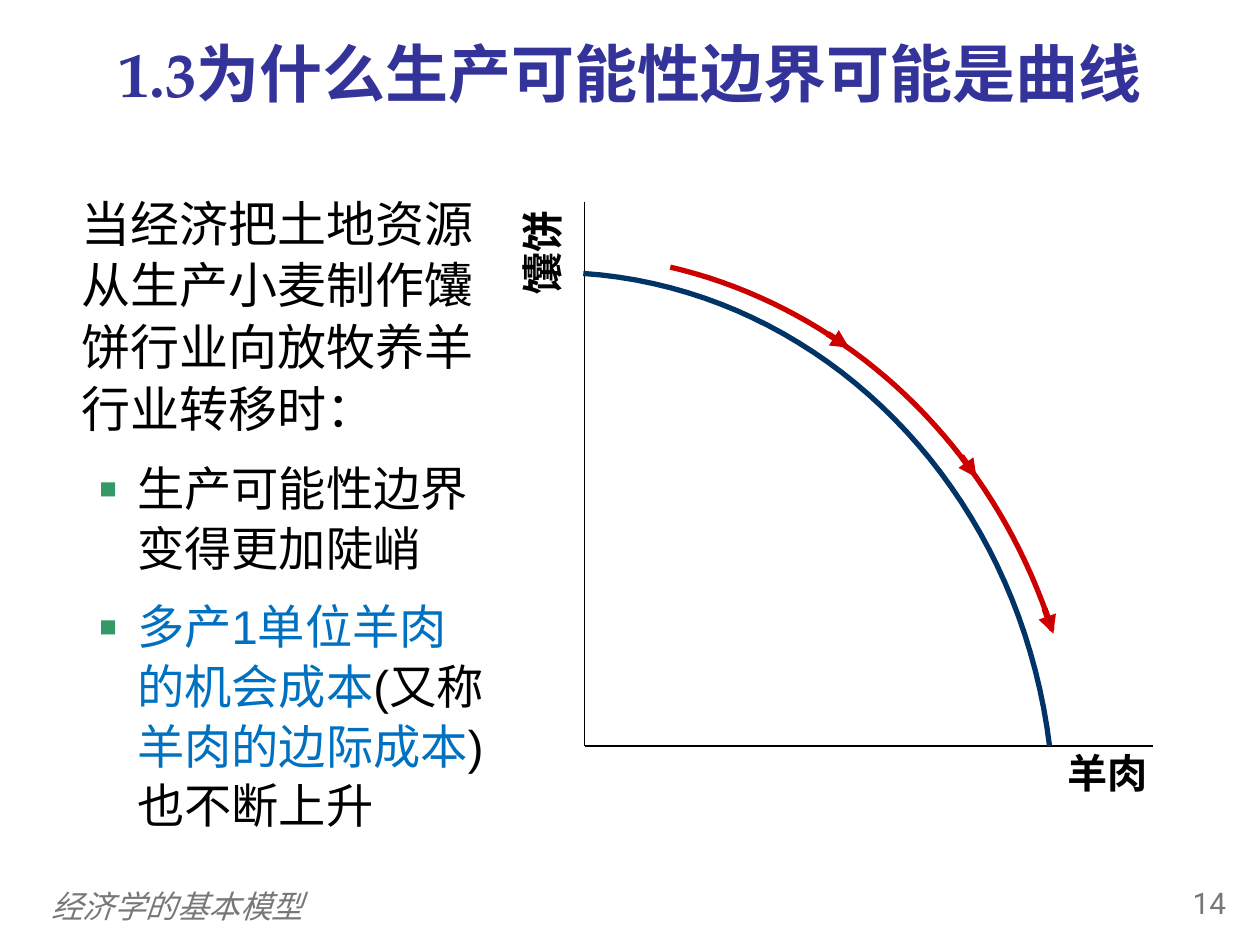
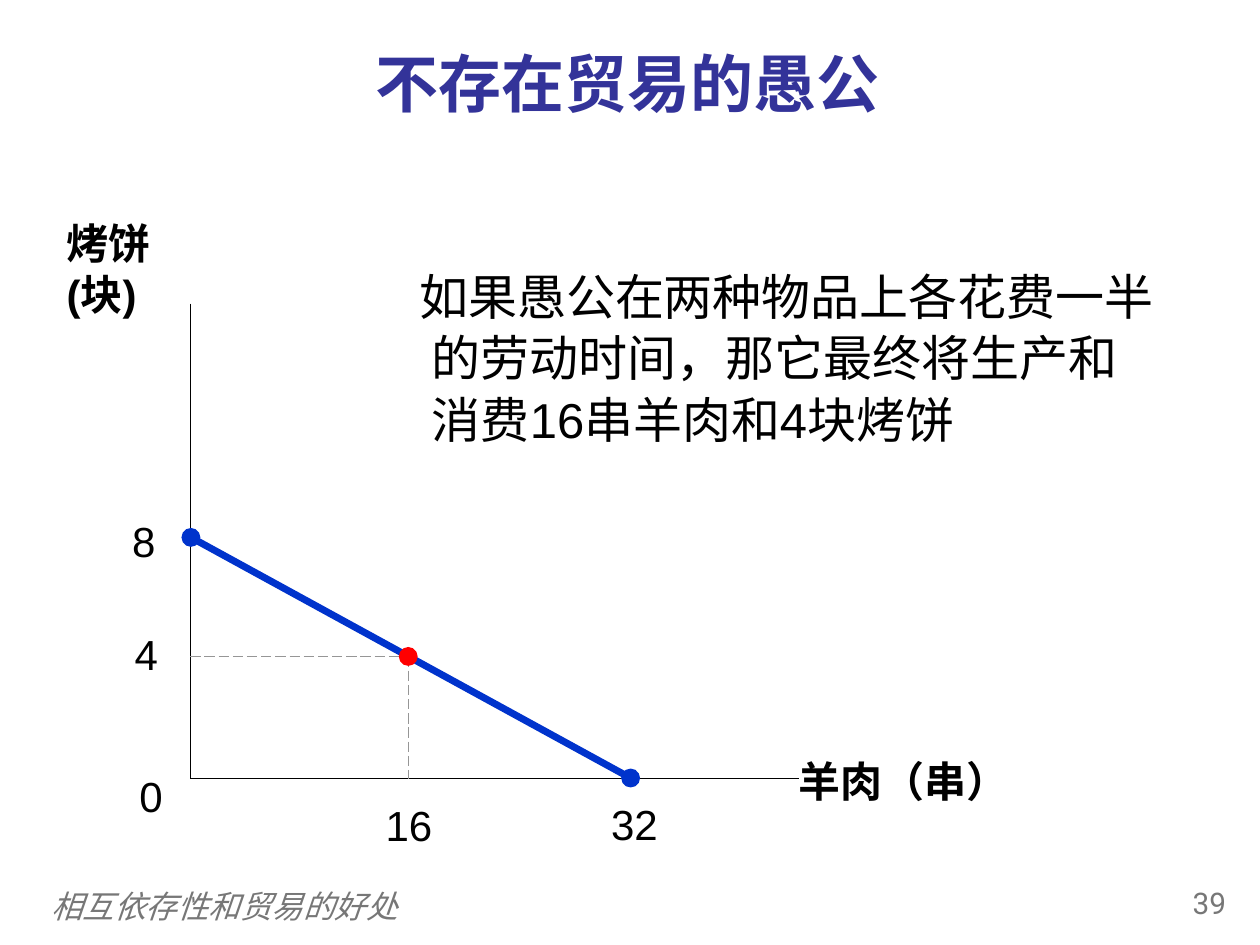
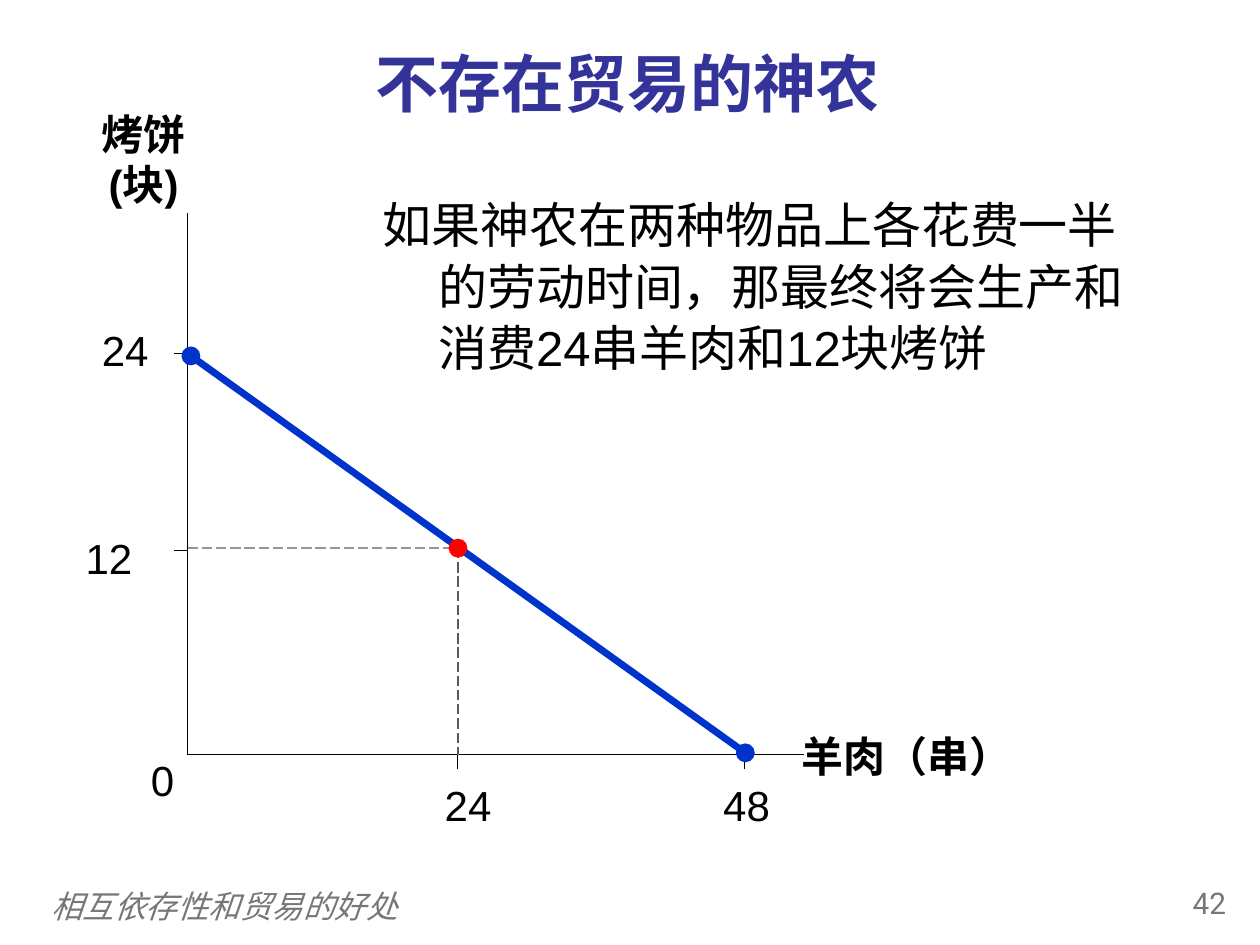
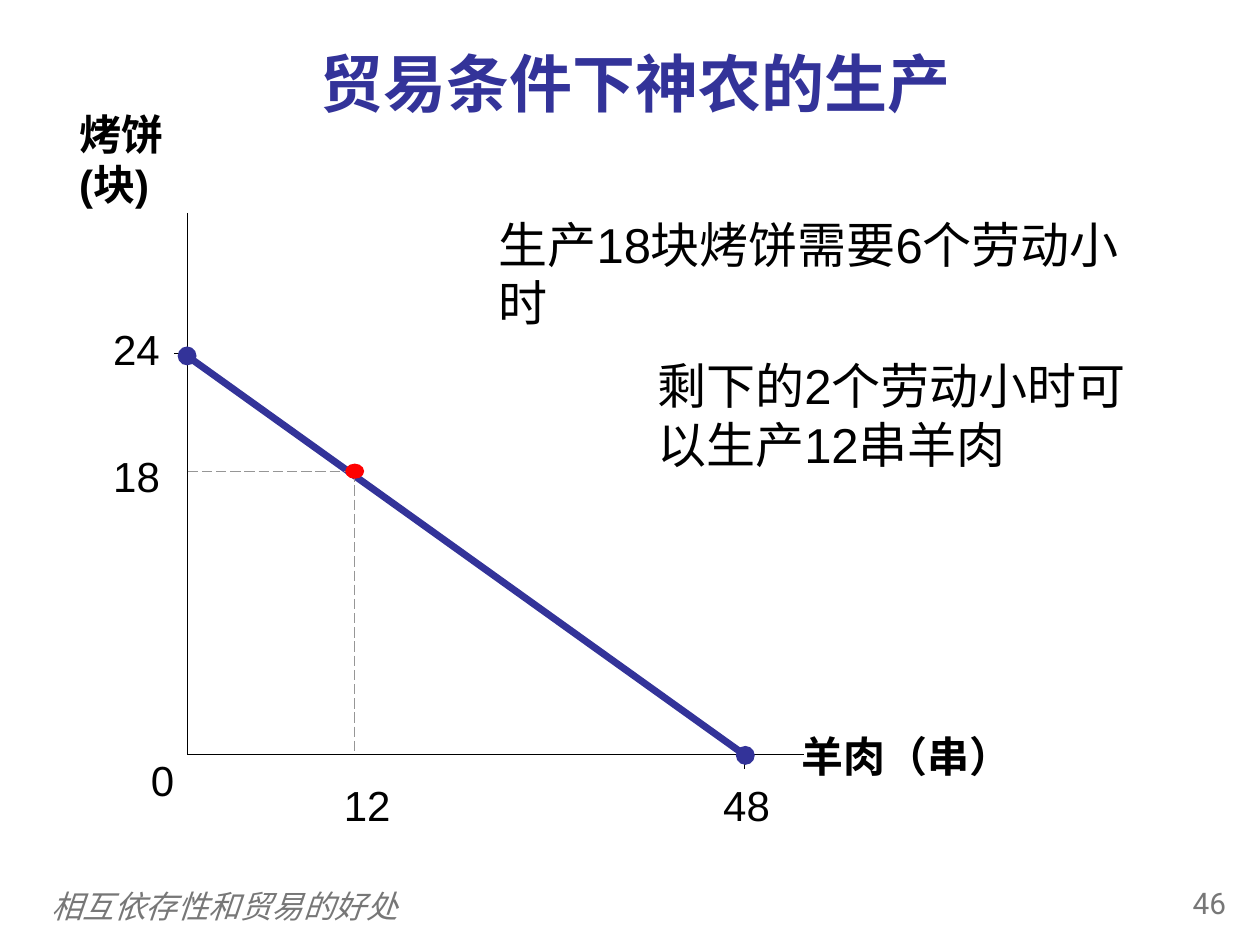
from lxml.etree import SubElement
from pptx import Presentation
from pptx.dml.color import RGBColor
from pptx.enum.dml import MSO_LINE
from pptx.enum.shapes import MSO_CONNECTOR, MSO_SHAPE
from pptx.enum.text import MSO_ANCHOR, PP_ALIGN
from pptx.oxml.ns import qn
from pptx.util import Inches, Pt

COLS, ROWS = 100, 75
WIDTH, HEIGHT = Inches(10), Inches(7.5)

BLACK = RGBColor(0x00, 0x00, 0x00)
GREY = RGBColor(0x77, 0x77, 0x77)
GUIDE_GREY = RGBColor(0x96, 0x96, 0x96)
DARK_GUIDE = RGBColor(0x59, 0x59, 0x59)
INDIGO = RGBColor(0x33, 0x33, 0x99)
BLUE = RGBColor(0x00, 0x33, 0xCC)
SKY = RGBColor(0x00, 0x70, 0xC0)
NAVY = RGBColor(0x00, 0x33, 0x66)
CRIMSON = RGBColor(0xCC, 0x00, 0x00)
RED = RGBColor(0xFF, 0x00, 0x00)
GREEN = RGBColor(0x33, 0x99, 0x66)

TITLE = dict(name="TeX Gyre Pagella", size=Pt(36), bold=True)
FOOTER = dict(name="Arial", size=Pt(18), italic=True)
NUMBER = dict(name="Roboto", size=Pt(17))
BODY = dict(name="Arial", size=Pt(28))
BULLET = dict(name="Arial", size=Pt(27))
TICK = dict(name="Arial", size=Pt(24))
AXIS = dict(TICK, bold=True)

LEFT = dict(alignment=PP_ALIGN.LEFT)
CENTER = dict(alignment=PP_ALIGN.CENTER)
RIGHT = dict(alignment=PP_ALIGN.RIGHT)
LOOSE = dict(line_spacing=1.05)

LABEL_H = 5
DOT = 1.5


def apply(target, values):
    for name, value in values.items():
        setattr(target, name, value)


class Deck:
    """Places elements on the current slide, in columns and rows of a 100 x 75 grid."""

    def __init__(self):
        self.prs = Presentation()
        self.prs.slide_width, self.prs.slide_height = WIDTH, HEIGHT
        self.s = None

    def x(self, cols):
        return round(WIDTH * cols / COLS)

    def y(self, rows):
        return round(HEIGHT * rows / ROWS)

    def box(self, x, y, w, h):
        return self.x(x), self.y(y), self.x(w), self.y(h)

    def slide(self, title, footer, number, title_box=(3.8, 2.8, 92, 7.4)):
        self.s = self.prs.slides.add_slide(self.prs.slide_layouts[5])
        sp = self.s.shapes.title
        sp.left, sp.top, sp.width, sp.height = self.box(*title_box)
        sp.text_frame.vertical_anchor = MSO_ANCHOR.MIDDLE
        self.paragraph(sp.text_frame.paragraphs[0], [(title, INDIGO)], TITLE, CENTER)
        tf = self.text(footer, (3.1, 69.9, 80.2, 4), FOOTER, color=GREY)
        tf.vertical_anchor = MSO_ANCHOR.MIDDLE
        self.text(number, (90.8, 69.7, 7.5, 4), NUMBER, RIGHT, GREY)

    def paragraph(self, p, runs, font, fmt, margin=0, indent=0, bullet=None):
        pPr = p._p.get_or_add_pPr()
        pPr.set("marL", str(self.x(margin)))
        pPr.set("indent", str(self.x(indent)))
        if bullet:
            clr = SubElement(pPr, qn("a:buClr"))
            SubElement(clr, qn("a:srgbClr"), val=str(GREEN))
            SubElement(pPr, qn("a:buSzPct"), val="120000")
            SubElement(pPr, qn("a:buFont"), typeface="Arial")
            SubElement(pPr, qn("a:buChar"), char=bullet)
        apply(p, fmt)
        for text, color in runs:
            r = p.add_run()
            r.text = text
            apply(r.font, font)
            r.font.color.rgb = color

    def text(self, text, box, font, fmt=LEFT, color=BLACK, rotation=0, **indents):
        sp = self.s.shapes.add_textbox(*self.box(*box))
        sp.rotation = rotation
        tf = sp.text_frame
        tf.word_wrap = True
        self.paragraph(tf.paragraphs[0], [(text, color)], font, fmt, **indents)
        return tf

    def line(self, start, end, color=BLACK, width=0.75, dash=None, arrow=False):
        sp = self.s.shapes.add_connector(
            MSO_CONNECTOR.STRAIGHT, self.x(start[0]), self.y(start[1]),
            self.x(end[0]), self.y(end[1]))
        sp.line.color.rgb = color
        apply(sp.line, dict(width=Pt(width), dash_style=dash))
        spPr = sp._element.spPr
        if arrow:
            SubElement(spPr.find(qn("a:ln")), qn("a:tailEnd"), type="triangle")
        SubElement(spPr, qn("a:effectLst"))

    def dot(self, center, color, h=DOT):
        sp = self.s.shapes.add_shape(MSO_SHAPE.OVAL, *self.box(
            center[0] - DOT / 2, center[1] - h / 2, DOT, h))
        sp.shadow.inherit = False
        sp.fill.solid()
        sp.fill.fore_color.rgb = color
        sp.line.fill.background()

    def curve(self, controls, color, steps=40):
        """Draws a cubic Bezier curve through evenly spaced parameters."""
        points = []
        for i in range(steps + 1):
            t = i / steps
            weights = ((1 - t) ** 3, 3 * t * (1 - t) ** 2, 3 * t ** 2 * (1 - t), t ** 3)
            px, py = (sum(w * c[k] for w, c in zip(weights, controls)) for k in (0, 1))
            points.append((self.x(px), self.y(py)))
        builder = self.s.shapes.build_freeform(*points[0])
        builder.add_line_segments(points[1:], close=False)
        sp = builder.convert_to_shape()
        sp.shadow.inherit = False
        sp.fill.background()
        sp.line.color.rgb = color
        sp.line.width = Pt(3)

    def axes(self, origin, top, right):
        self.line((origin[0], top), origin)
        self.line(origin, (right, origin[1]))

    def frontier(self, origin, top, right, ends, point, color, ticks_x=(), ticks_y=(),
                 drop_color=GUIDE_GREY, point_h=DOT):
        """Draws axes, a straight frontier and the dashed guides of its marked point."""
        ox, oy = origin
        self.axes(origin, top, right)
        for tick in ticks_x:
            self.line((tick, oy + 1.1), (tick, oy), width=0.25)
        for tick in ticks_y:
            self.line((ox, tick), (ox - 1.1, tick), width=0.25)
        self.line(*ends, color, 4)
        for end in ends:
            self.dot(end, color)
        self.line((ox, point[1]), point, GUIDE_GREY, dash=MSO_LINE.LONG_DASH)
        self.line(point, (point[0], oy), drop_color, dash=MSO_LINE.LONG_DASH)
        self.dot(point, RED, point_h)

    def labels(self, numbers, y_name, x_name, y_fmt=LEFT):
        for text, x, y, w, fmt in numbers:
            self.text(text, (x, y, w, LABEL_H), TICK, fmt)
        self.text("烤饼 (块)", (*y_name, 12.2, 9.1), AXIS, y_fmt)
        self.text("羊肉（串）", (*x_name, 21, LABEL_H), AXIS)


def curved_frontier(deck):
    deck.slide("1.3为什么生产可能性边界可能是曲线", "经济学的基本模型", "14", (5, 1.9, 90, 7.6))
    deck.axes((46.4, 59.2), 16, 91.5)
    deck.text("羊肉", (73.5, 58.9, 18.6, 4.9), dict(AXIS, size=Pt(23)), RIGHT)
    deck.text("馕饼", (35.1, 21.1, 15.8, LABEL_H), AXIS, RIGHT, rotation=270)
    deck.curve([(46.3, 21.7), (65.3, 23), (80.8, 38.7), (83.3, 59.2)], NAVY)
    deck.curve([(53.2, 21.2), (67.3, 24.5), (78.8, 35.4), (83.5, 50)], CRIMSON)
    for start, end in (((65.7, 26.5), (67.4, 27.6)), ((76.3, 36.2), (77.5, 37.9)),
                       ((82.9, 48.3), (83.6, 50.3))):
        deck.line(start, end, CRIMSON, 3.5, arrow=True)

    tf = deck.text("当经济把土地资源从生产小麦制作馕饼行业向放牧养羊行业转移时：",
                   (5.5, 14.6, 34.7, 47.2), BODY, LOOSE)
    for runs in (
        [("生产可能性边界变得更加陡峭", BLACK)],
        [("多产1单位羊肉的机会成本", SKY), ("(又称", BLACK),
         ("羊肉的边际成本", SKY), (")也不断上升", BLACK)],
    ):
        deck.paragraph(tf.add_paragraph(), runs, BULLET,
                       dict(LOOSE, level=1, space_before=Pt(11)), 4.4, -3.1, "▪")


def yugong_alone(deck, footer):
    deck.slide("不存在贸易的愚公", footer, "39")
    deck.frontier((15.1, 61.8), 24.1, 63.4, ((15.15, 42.65), (50.05, 61.75)),
                  (32.4, 52.1), BLUE)
    deck.labels([("4", 9.7, 49.4, 6.2, LEFT), ("16", 26, 63, 12.9, CENTER),
                 ("32", 43.9, 62.9, 12.9, CENTER), ("8", 9.5, 40.4, 3.7, LEFT),
                 ("0", 8.3, 60.7, 7.4, CENTER)], (4.3, 16.8), (62.4, 59.5))
    deck.text("如果愚公在两种物品上各花费一半的劳动时间，那它最终将生产和消费16串羊肉和4块烤饼",
              (27.1, 20.4, 66.2, 15.9), BODY, LOOSE, margin=6.2, indent=-1)


def shennong_alone(deck, footer, shared):
    deck.slide("不存在贸易的神农", footer, "42")
    deck.frontier(ends=((15.15, 28.25), (59.15, 59.75)), point=(36.35, 43.5), color=BLUE,
                  ticks_x=(36.3, 59.1), ticks_y=(28, 43.7), drop_color=DARK_GUIDE, **shared)
    deck.labels([("48", 55.2, 61.4, 8.1, CENTER), ("0", 10.6, 59.4, 4.6, CENTER),
                 ("12", 3.4, 41.8, 10.5, CENTER), ("24", 33.1, 61.4, 8.1, CENTER),
                 ("24", 7.1, 25.3, 6.9, LEFT)], (5.3, 8.1), (62.6, 57.5), CENTER)
    deck.text("如果神农在两种物品上各花费一半的劳动时间，那最终将会生产和消费24串羊肉和12块烤饼",
              (29.4, 14.7, 61.8, 15.9), BODY, LOOSE, margin=4.4, indent=-4.4)


def shennong_trading(deck, footer, shared):
    deck.slide("贸易条件下神农的生产", footer, "46", (4.4, 2.8, 92, 7.4))
    deck.frontier(ends=((14.85, 28.25), (59.15, 59.95)), point=(28.15, 37.4), color=INDIGO,
                  ticks_x=(59.1,), ticks_y=(28,), point_h=1.2, **shared)
    deck.labels([("12", 25.1, 61.4, 8.1, CENTER), ("18", 8, 35.3, 6.8, LEFT),
                 ("48", 55.2, 61.4, 8.1, CENTER), ("0", 10.6, 59.4, 4.6, CENTER),
                 ("24", 8, 25.2, 6.6, LEFT)], (5.3, 8.1), (62.6, 57.5))
    deck.text("生产18块烤饼需要6个劳动小时", (38.6, 16.5, 52.3, 10.4), BODY)
    deck.text("剩下的2个劳动小时可以生产12串羊肉", (51.2, 27.7, 42, 10.4), BODY)


def main():
    deck = Deck()
    trade = "相互依存性和贸易的好处"
    shennong_axes = dict(origin=(14.9, 59.9), top=16.9, right=63.8)
    curved_frontier(deck)
    yugong_alone(deck, trade)
    shennong_alone(deck, trade, shennong_axes)
    shennong_trading(deck, trade, shennong_axes)
    deck.prs.save("out.pptx")


if __name__ == "__main__":
    main()
